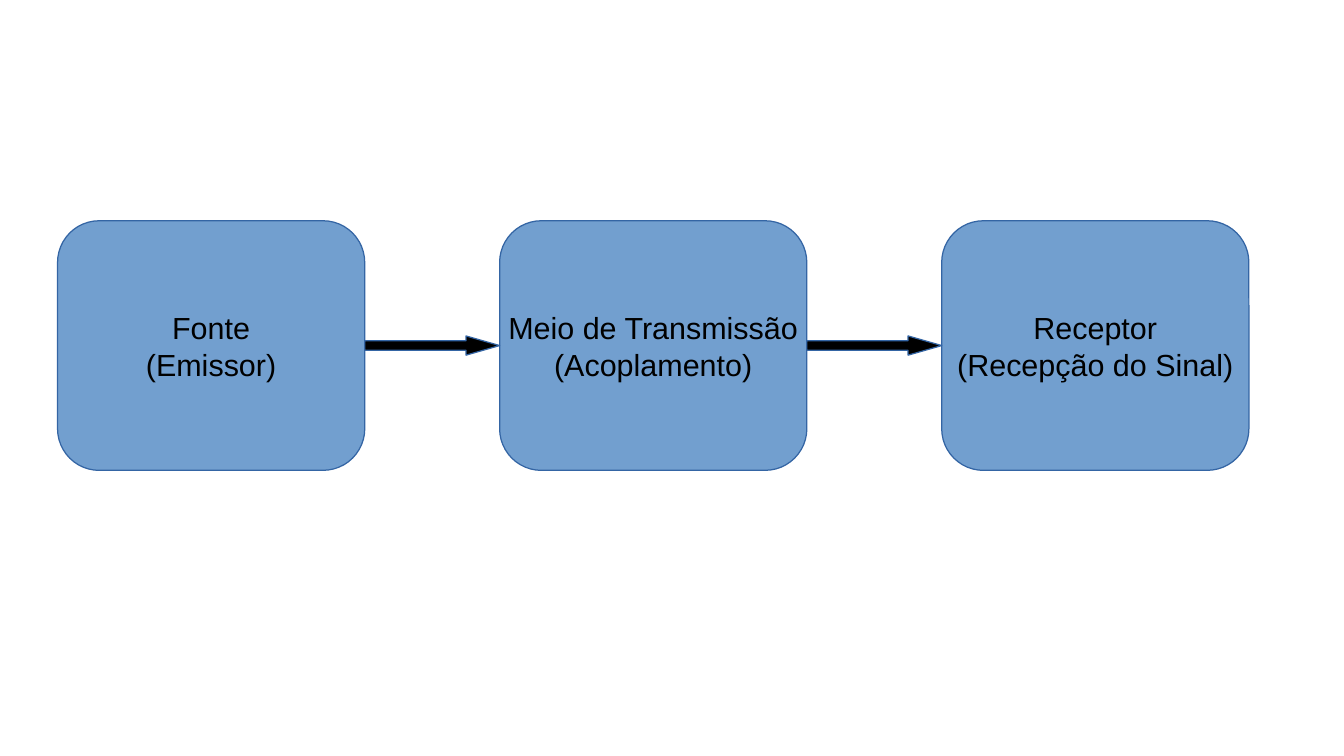
"""Build a slide showing a signal going from source through medium to receiver."""
import pptx
import pptx.dml.color
import pptx.enum.shapes
import pptx.enum.text
import pptx.util

Cm = pptx.util.Cm
Shapes = pptx.enum.shapes.MSO_SHAPE
COLORS = {"box": "729FCF", "outline": "3465A4", "ink": "000000"}
STAGES = [
    "Fonte\n(Emissor)",
    "Meio de Transmissão\n(Acoplamento)",
    "Receptor\n(Recepção do Sinal)",
]
LEFT, TOP, WIDTH, HEIGHT = 1.2, 4.6, 6.4, 5.2
PITCH = 9.21
ARROW_HEIGHT = 0.4


def add_filled(kind, left, top, width, height, fill):
    shape = page.shapes.add_shape(kind, Cm(left), Cm(top), Cm(width), Cm(height))
    shape.shadow.inherit = False
    shape.fill.solid()
    shape.fill.fore_color.rgb = pptx.dml.color.RGBColor.from_string(COLORS[fill])
    shape.line.color.rgb = pptx.dml.color.RGBColor.from_string(COLORS["outline"])
    shape.line.width = 0
    return shape


deck = pptx.Presentation()
deck.slide_width, deck.slide_height = Cm(28), Cm(15.75)
page = deck.slides.add_slide(deck.slide_layouts[6])

for index, label in enumerate(STAGES):
    box = add_filled(Shapes.ROUNDED_RECTANGLE, LEFT + index * PITCH, TOP, WIDTH, HEIGHT, "box")
    box.adjustments[0] = 0.167
    frame = box.text_frame
    frame.text = label
    frame.word_wrap = False
    frame.vertical_anchor = pptx.enum.text.MSO_ANCHOR.MIDDLE
    for para in frame.paragraphs:
        para.alignment = pptx.enum.text.PP_ALIGN.CENTER
        for span in para.runs:
            span.font.name = "Arial"
            span.font.size = pptx.util.Pt(18)
            span.font.color.rgb = pptx.dml.color.RGBColor.from_string(COLORS["ink"])

for index in range(len(STAGES) - 1):
    arrow = add_filled(
        Shapes.RIGHT_ARROW,
        LEFT + WIDTH + index * PITCH,
        TOP + (HEIGHT - ARROW_HEIGHT) / 2,
        PITCH - WIDTH,
        ARROW_HEIGHT,
        "ink",
    )
    arrow.adjustments[0] = 0.5
    arrow.adjustments[1] = 1.75

deck.save("out.pptx")
